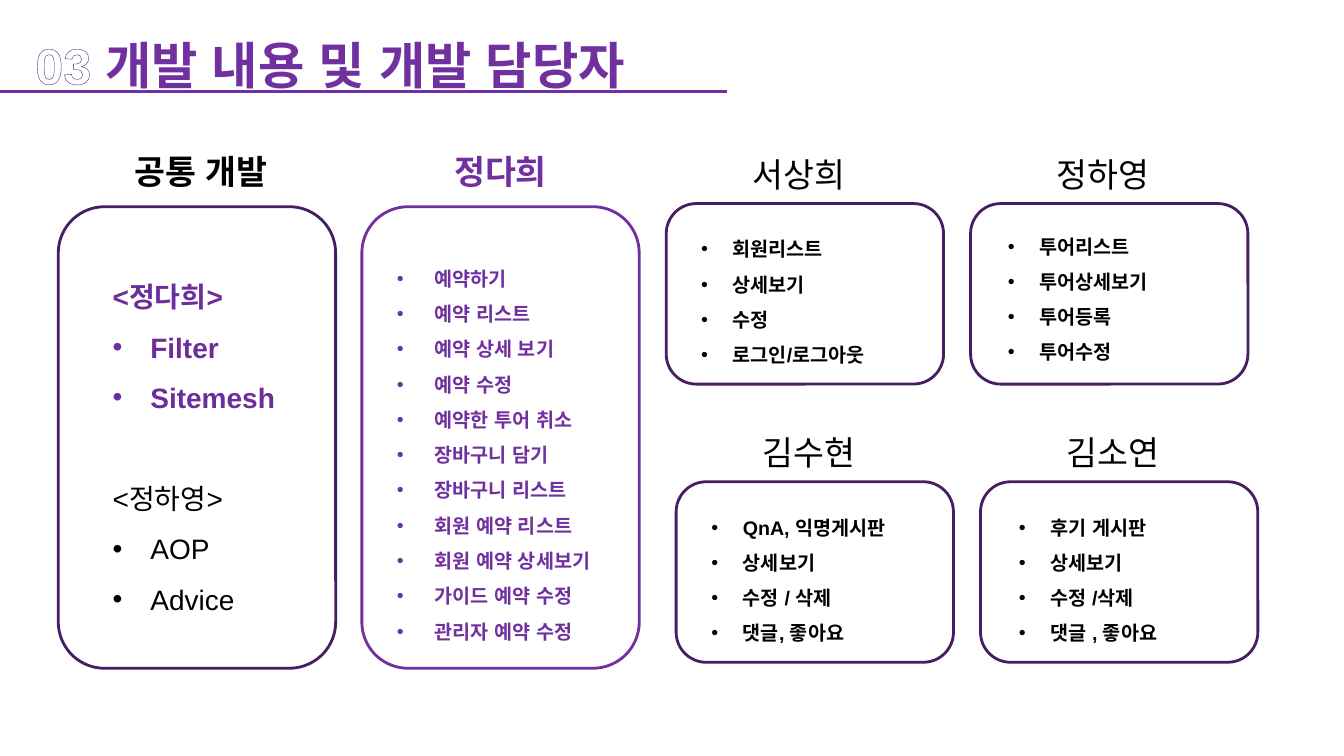
from lxml.etree import SubElement
from pptx import Presentation
from pptx.dml.color import RGBColor
from pptx.enum.lang import MSO_LANGUAGE_ID
from pptx.enum.shapes import MSO_CONNECTOR, MSO_SHAPE
from pptx.enum.text import MSO_ANCHOR, MSO_AUTO_SIZE, PP_ALIGN
from pptx.oxml import parse_xml
from pptx.oxml.ns import nsdecls, qn
from pptx.util import Cm, Pt

VIOLET, PLUM, GRAPE = "7030A0", "461E64", "6C2E9A"
BLACK, WHITE = "000000", "FFFFFF"
WIDE, TALL, LOW = 6.99, 11.63, 4.55


def paint(code):
    return RGBColor.from_string(code)


class Board:
    face = "Arial"
    pitch = 1.5

    def __init__(self, slide):
        self.shapes = slide.shapes

    def box(self, x, y, high, color=PLUM):
        item = self.shapes.add_shape(
            MSO_SHAPE.ROUNDED_RECTANGLE, Cm(x), Cm(y), Cm(WIDE), Cm(high))
        item.shadow.inherit = False
        item.fill.background()
        item.line.color.rgb = paint(color)
        item.line.width = Pt(2)

    def rule(self, x, y, end):
        item = self.shapes.add_connector(
            MSO_CONNECTOR.STRAIGHT, Cm(x), Cm(y), Cm(end), Cm(y))
        item.line.color.rgb = paint(VIOLET)
        item.line.width = Pt(2.25)
        SubElement(item._element.spPr, qn("a:effectLst"))

    def frame(self, x, y, wide, high, middle=False):
        """Add an empty text box and return its text frame."""
        text = self.shapes.add_textbox(Cm(x), Cm(y), Cm(wide), Cm(high)).text_frame
        text.word_wrap = True
        text.auto_size = MSO_AUTO_SIZE.SHAPE_TO_FIT_TEXT
        text.vertical_anchor = MSO_ANCHOR.MIDDLE if middle else MSO_ANCHOR.TOP
        return text

    def para(self, text, indent=0):
        """Start a paragraph, with a bullet if it has an indent in cm."""
        first = text.paragraphs[0]
        para = text.add_paragraph() if first.runs else first
        para.line_spacing = self.pitch
        if indent:
            props = para._p.get_or_add_pPr()
            props.set("marL", str(Cm(indent)))
            props.set("indent", str(-Cm(indent)))
            SubElement(props, qn("a:buFont"), typeface=self.face)
            SubElement(props, qn("a:buChar"), char="•")
        return para

    def run(self, para, words, size, color, bold=True, edge=None):
        run = para.add_run()
        run.text = words
        font = run.font
        font.size, font.bold, font.name = Pt(size), bold, self.face
        font.color.rgb = paint(color)
        font.language_id = MSO_LANGUAGE_ID.KOREAN
        props = run._r.get_or_add_rPr()
        SubElement(props, qn("a:ea"), typeface=self.face)
        if edge:
            props.insert(0, parse_xml(
                f'<a:ln {nsdecls("a")} w="{Pt(0.75)}"><a:solidFill>'
                f'<a:srgbClr val="{edge}"/></a:solidFill></a:ln>'))

    def head(self, x, y, wide, words, color=BLACK, main=False):
        para = self.para(self.frame(x, y, wide, 1.6, main))
        if main:
            para.alignment = PP_ALIGN.CENTER
        self.run(para, words, 24, color, main)

    def tasks(self, x, y, wide, high, lines, color, indent):
        text = self.frame(x, y, wide, high)
        for line in lines:
            self.run(self.para(text, indent), line, 14, color)


def main():
    deck = Presentation()
    deck.slide_width, deck.slide_height = Cm(33.87), Cm(19.05)
    board = Board(deck.slides.add_slide(deck.slide_layouts[6]))

    title = board.para(board.frame(0.64, -0.03, 31.83, 2.57))
    board.run(title, "03 ", 36, WHITE, edge=PLUM)
    board.run(title, "개발 내용 및 개발 담당자", 36, VIOLET)
    board.rule(0, 2.31, 18.31)

    board.head(2.72, 3.25, 4.93, "공통 개발 ", main=True)
    board.box(1.47, 5.21, TALL)
    shared = board.frame(2.59, 6.5, 5.16, 10.34)
    groups = [("<정다희>", ("Filter", "Sitemesh"), GRAPE, True, 0),
              ("<정하영>", ("AOP", "Advice"), BLACK, False, 36)]
    for owner, parts, color, bold, gap in groups:
        para = board.para(shared)
        para.space_before = Pt(gap)
        board.run(para, owner, 20, color, bold)
        for part in parts:
            board.run(board.para(shared, 0.95), part, 20, color, bold)

    board.head(11, 3.25, 3.23, "정다희", VIOLET, True)
    board.box(9.12, 5.21, TALL, VIOLET)
    board.tasks(9.75, 6.3, WIDE, 10, [
        "예약하기", "예약 리스트", "예약 상세 보기", "예약 수정",
        "예약한 투어 취소", "장바구니 담기", "장바구니 리스트",
        "회원 예약 리스트", "회원 예약 상세보기", "가이드 예약 수정",
        "관리자 예약 수정"], VIOLET, 0.95)

    # Box left and top, task list left and top, name, tasks
    members = [
        (16.79, 5.13, 17.42, 5.56, "서상희",
         ["회원리스트", "상세보기", "수정", "로그인/로그아웃"]),
        (24.46, 5.13, 25.15, 5.49, "정하영",
         ["투어리스트", "투어상세보기", "투어등록", "투어수정"]),
        (17.04, 12.14, 17.68, 12.57, "김수현",
         ["QnA, 익명게시판", "상세보기", "수정 / 삭제", "댓글, 좋아요"]),
        (24.71, 12.14, 25.43, 12.57, "김소연",
         ["후기 게시판", "상세보기", "수정 /삭제", "댓글 , 좋아요"]),
    ]
    for x, y, left, top, name, lines in members:
        board.box(x, y, LOW)
        board.head(x + 1.92, y - 1.88, 3.23, name)
        board.tasks(left, top, 5.8, 3.73, lines, BLACK, 0.79)

    deck.save("out.pptx")


if __name__ == "__main__":
    main()
